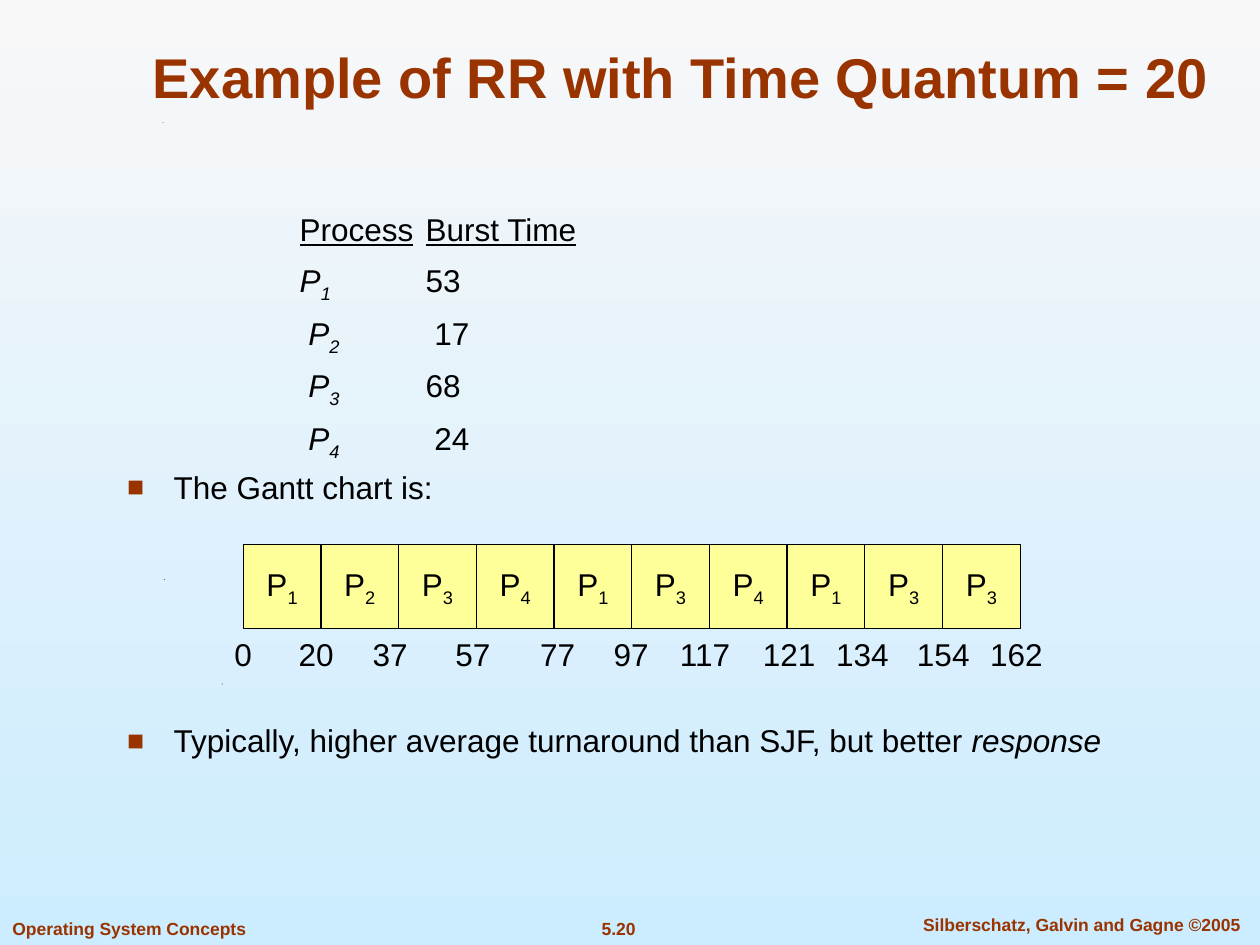
from lxml import etree
from pptx import Presentation
from pptx.dml.color import RGBColor
from pptx.enum.shapes import MSO_SHAPE
from pptx.enum.text import MSO_ANCHOR, PP_ALIGN
from pptx.oxml.ns import qn
from pptx.util import Pt

RUST = "993300"
BLACK = "000000"
BODY = {"name": "Arial", "size": Pt(18)}
FOOTER = {"name": "Arial", "size": Pt(10), "bold": True}
HEADING = {"name": "Arial", "size": Pt(32), "bold": True}
ITALIC = {"italic": True}
UNDERLINE = {"underline": True}
SUBSCRIPT = "-25000"


def color(hex_value):
    return RGBColor.from_string(hex_value)


def apply(target, values):
    for key, value in values.items():
        setattr(target, key, value)


def add_run(paragraph, text, base, hex_value, extra=None, baseline=None):
    run = paragraph.add_run()
    run.text = text
    apply(run.font, {**base, **(extra or {})})
    run.font.color.rgb = color(hex_value)
    if baseline:
        run.font._element.set("baseline", baseline)


def add_label(shapes, text, box, base, hex_value, align, wrap=False):
    label = shapes.add_textbox(*map(Pt, box))
    apply(label.text_frame, {"word_wrap": wrap, "vertical_anchor": MSO_ANCHOR.MIDDLE})
    paragraph = label.text_frame.paragraphs[0]
    paragraph.alignment = align
    add_run(paragraph, text, base, hex_value)


def add_speck(shapes, x, y):
    builder = shapes.build_freeform(Pt(x), Pt(y), scale=1.0)
    builder.add_line_segments([(Pt(x + 0.6), Pt(y - 0.3)), (Pt(x + 0.3), Pt(y + 0.2))])
    speck = builder.convert_to_shape()
    speck.shadow.inherit = False
    speck.fill.solid()
    speck.fill.fore_color.rgb = color(BLACK)
    speck.line.fill.background()


def set_tabs(paragraph, stops):
    tab_list = etree.SubElement(paragraph._p.get_or_add_pPr(), qn("a:tabLst"))
    for stop in stops:
        etree.SubElement(tab_list, qn("a:tab"), pos=str(Pt(stop)), algn="l")


def set_bullet(paragraph):
    properties = paragraph._p.get_or_add_pPr()
    apply_indent = {"marL": str(Pt(27.4)), "indent": str(Pt(-26.6))}
    for key, value in apply_indent.items():
        properties.set(key, value)
    bullet_color = etree.SubElement(properties, qn("a:buClr"))
    etree.SubElement(bullet_color, qn("a:srgbClr"), val=RUST)
    etree.SubElement(properties, qn("a:buSzPct"), val="90000")
    etree.SubElement(properties, qn("a:buFont"), typeface="Arial")
    etree.SubElement(properties, qn("a:buChar"), char="■")


def add_title(slide, text):
    title = slide.shapes.title
    apply(title, {"left": Pt(72), "top": Pt(0), "width": Pt(634.3), "height": Pt(66.2)})
    apply(title.text_frame, {"word_wrap": True, "vertical_anchor": MSO_ANCHOR.BOTTOM})
    paragraph = title.text_frame.paragraphs[0]
    paragraph.alignment = PP_ALIGN.CENTER
    add_run(paragraph, text, HEADING, RUST)


def add_body(shapes):
    header = [("\t", {}, None), ("Process", UNDERLINE, None),
              ("\t", {}, None), ("Burst Time", UNDERLINE, None)]
    bursts = [("P", "1", "53"), (" P", "2", " 17"), (" P", "3", "68"), (" P", "4", " 24")]
    rows = [header] + [
        [("\t" + process, ITALIC, None), (number, ITALIC, SUBSCRIPT), ("\t" + burst, {}, None)]
        for process, number, burst in bursts
    ]
    bullets = [
        (7.9, [("The Gantt chart is:", {}, None)]),
        (125.4, [("Typically, higher average turnaround than SJF, but better ", {}, None),
                 ("response", ITALIC, None)]),
    ]
    entries = [(7.9 if i else 0, row, False) for i, row in enumerate(rows)]
    entries += [(gap, runs, True) for gap, runs in bullets]

    frame = shapes.add_textbox(Pt(64.8), Pt(118.8), Pt(579), Pt(352.8)).text_frame
    frame.word_wrap = True
    for i, (gap, runs, bulleted) in enumerate(entries):
        paragraph = frame.add_paragraph() if i else frame.paragraphs[0]
        if bulleted:
            set_bullet(paragraph)
        else:
            set_tabs(paragraph, (99.4, 171.4))
        apply(paragraph, {"line_spacing": 0.9, "space_before": Pt(gap)})
        for text, extra, baseline in runs:
            add_run(paragraph, text, BODY, BLACK, extra, baseline)


def add_gantt_cell(shapes, number, left, top, width, height):
    cell = shapes.add_shape(MSO_SHAPE.RECTANGLE, Pt(left), Pt(top), Pt(width), Pt(height))
    cell.shadow.inherit = False
    cell.fill.solid()
    cell.fill.fore_color.rgb = color("FFFF99")
    cell.line.color.rgb = color(BLACK)
    cell.line.width = Pt(0.75)
    apply(cell.text_frame, {"word_wrap": False, "vertical_anchor": MSO_ANCHOR.MIDDLE})
    paragraph = cell.text_frame.paragraphs[0]
    paragraph.alignment = PP_ALIGN.CENTER
    add_run(paragraph, "P", BODY, BLACK)
    add_run(paragraph, number, BODY, BLACK, baseline=SUBSCRIPT)


def add_gantt(shapes):
    left, top, width, height = 139, 311, 44.4, 48
    gantt = shapes.add_group_shape().shapes
    for i, number in enumerate("1234134133"):
        add_gantt_cell(gantt, number, left + i * width, top, width, height)
    times = [("0", 139), ("20", 180.7), ("37", 223), ("57", 270.3), ("77", 318.7), ("97", 360.7),
             ("117", 402.9), ("121", 451), ("134", 492.8), ("154", 539), ("162", 580.8)]
    for time, center in times:
        label_width = 14.4 + 10 * len(time)
        box = (center - label_width / 2, 359.5, label_width, 28.8)
        add_label(gantt, time, box, BODY, BLACK, PP_ALIGN.CENTER)


def set_background(slide):
    fill = slide.background.fill
    fill.gradient()
    fill.gradient_angle = 270
    for stop, hex_value, position in zip(fill.gradient_stops, ("F8F8F8", "CCECFF"), (0, 1)):
        stop.color.rgb = color(hex_value)
        stop.position = position


def main():
    presentation = Presentation()
    apply(presentation, {"slide_width": Pt(720), "slide_height": Pt(540)})
    slide = presentation.slides.add_slide(presentation.slide_layouts[5])
    shapes = slide.shapes
    set_background(slide)
    for x, y in ((126.7, 391), (93.6, 331.2), (92.9, 70.2)):
        add_speck(shapes, x, y)
    footers = [
        ("5.20", (318.2, 520.9, 70.6, 19.4), PP_ALIGN.CENTER),
        ("Silberschatz, Galvin and Gagne ©2005", (511.2, 518.6, 213.8, 19.4), PP_ALIGN.CENTER),
        ("Operating System Concepts", (0, 520.9, 147.6, 19.4), PP_ALIGN.LEFT),
    ]
    for text, box, align in footers:
        add_label(shapes, text, box, FOOTER, RUST, align)
    add_title(slide, "Example of RR with Time Quantum = 20")
    add_body(shapes)
    add_gantt(shapes)
    presentation.save("out.pptx")


if __name__ == "__main__":
    main()
